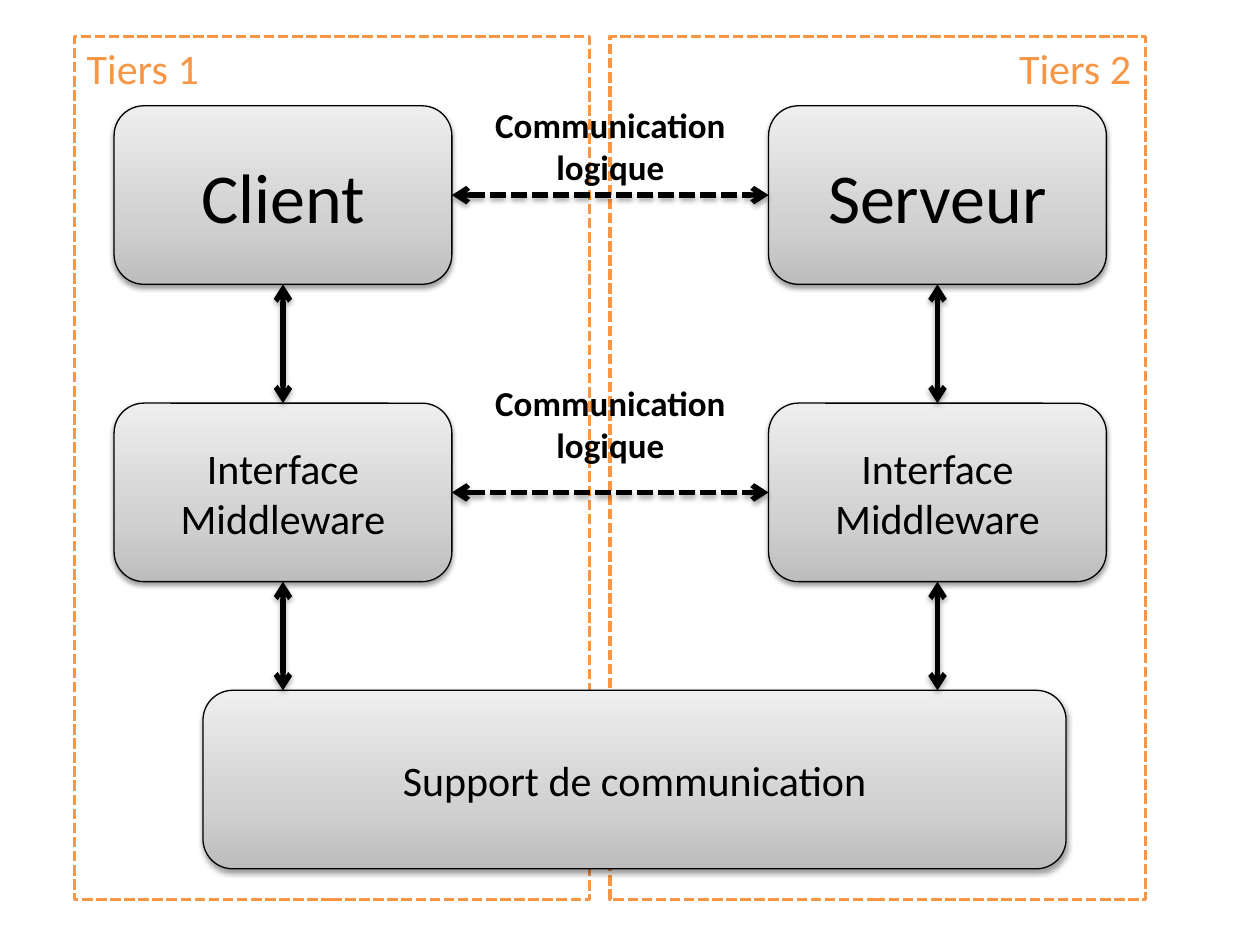
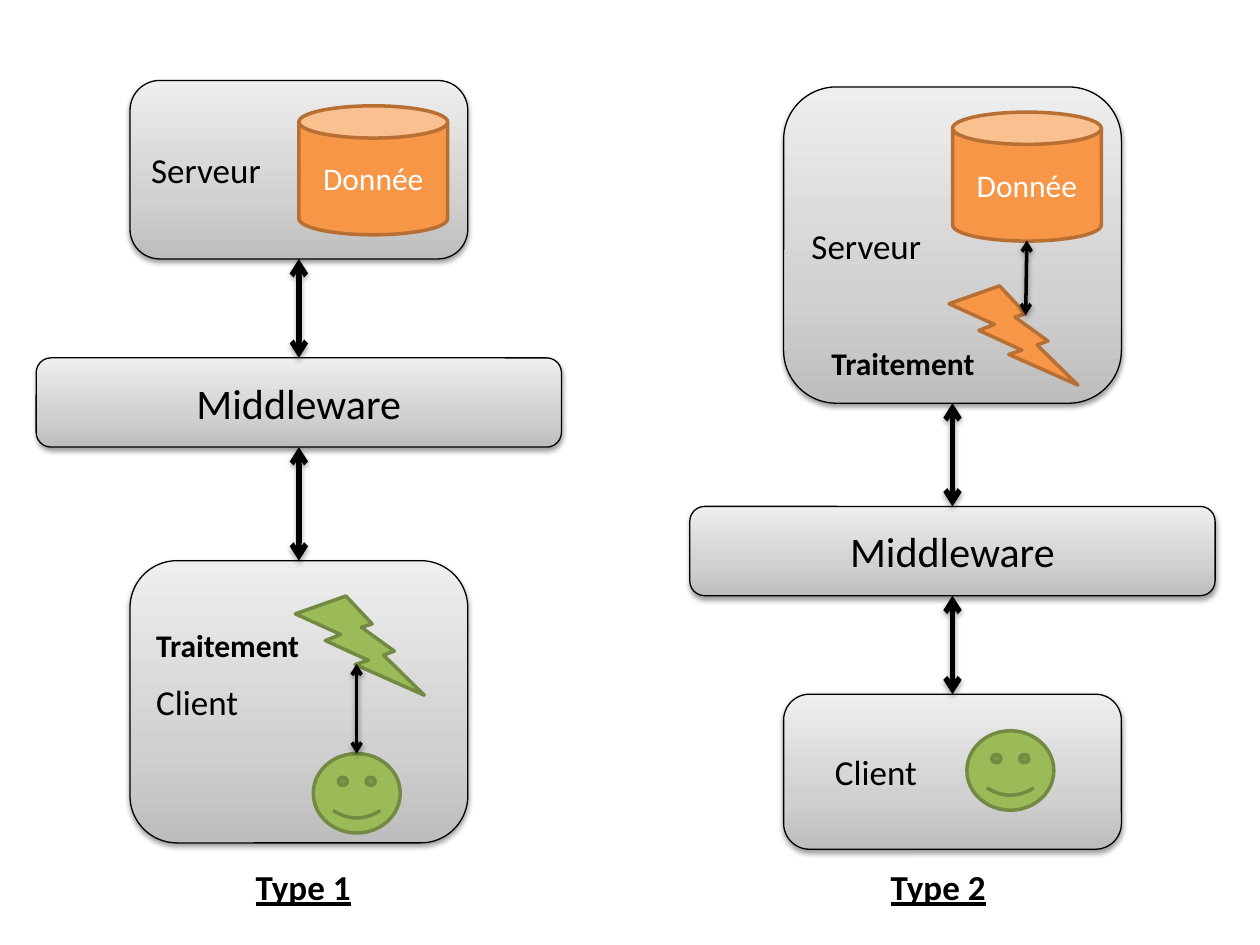
import pptx
import pptx.util
from dataclasses import dataclass
from pptx.dml.color import RGBColor
from pptx.enum.dml import MSO_LINE
from pptx.enum.shapes import MSO_CONNECTOR, MSO_SHAPE
from pptx.enum.text import MSO_ANCHOR, MSO_AUTO_SIZE, PP_ALIGN
from pptx.oxml.ns import qn
from lxml import etree

Pt = pptx.util.Pt


@dataclass(frozen=True)
class Theme:
    font: str = "Calibri"
    black: str = "000000"
    white: str = "FFFFFF"
    orange: str = "F79646"
    orange_edge: str = "B76F34"
    green: str = "9BBB59"
    green_edge: str = "738A42"
    box_stops: tuple = ((0, "BDBDBD"), (35, "D1D1D1"), (100, "EEEEEE"))
    huge: int = 40
    large: int = 24
    medium: int = 20
    small: int = 18
    thin: float = 0.75
    edge: int = 2
    thick: int = 3


T = Theme()
ORANGE = (T.orange, T.orange_edge)
GREEN = (T.green, T.green_edge)

# Slide 1: tiers and layers
TIERS = [  # label, label left, frame left, frame width
    ("Tiers 1", 42.5, 42.5, 294.5),
    ("Tiers 2", 575.3, 348.5, 306),
]
TIER_TOP, TIER_H = 20.9, 493.2
LAYERS = [  # top, text size, left text, right text, top of the label between
    (60.5, T.huge, "Client", "Serveur", 55.4),
    (230.4, T.large, "Interface Middleware", "Interface Middleware", 214.6),
]
BOX_LEFTS = (65.2, 439.2)
BOX_W, BOX_H = 193, 102
LINK_LABEL = ("Communication", "logique")
SUPPORT = ("Support de communication", 116, 394.5, 493.2, BOX_H)

# Slide 2: the two kinds of architecture, x offsets measured from the column's axis
COLUMNS = [
    dict(caption="Type 1", caption_dx=-31.8, axis=170.8,
         server=(46, BOX_H), middleware=204.5, client=(320.4, 161.3), client_margin=7.2,
         can=60.5, bolt=340.6, bolt_colours=GREEN, smiley=430.6,
         task=(-88.7, 354.2), link=((33, 379.4), (33, 430.6))),
    dict(caption="Type 2", caption_dx=-42.4, axis=544.3,
         server=(49.7, 180.7), middleware=289.4, client=(396.7, 88.6), client_margin=25,
         can=64.1, bolt=163.4, bolt_colours=ORANGE, smiley=417.6,
         task=(-76.3, 193), link=((41.8, 180), (42.5, 137.5))),
]
SERVER, MIDDLEWARE, CLIENT = "Serveur", "Middleware", "Client"
DATA, TASK = "Donnée", "Traitement"
MIDDLEWARE_W, MIDDLEWARE_H = 300.2, 51
CAPTION_TOP = 491

TOP, LEFT, BOTTOM, RIGHT = range(4)  # connection sites of a rounded rectangle


def add_shadow(sp, alpha, distance):
    """Give a shape or connector a soft shadow straight below it."""
    sp_pr = sp._element.spPr
    for old in sp_pr.findall(qn("a:effectLst")):
        sp_pr.remove(old)
    effects = etree.SubElement(sp_pr, qn("a:effectLst"))
    shadow = etree.SubElement(
        effects, qn("a:outerShdw"), blurRad=str(Pt(3.1)), dist=str(Pt(distance)),
        dir="5400000", rotWithShape="0")
    colour = etree.SubElement(shadow, qn("a:srgbClr"), val=T.black)
    etree.SubElement(colour, qn("a:alpha"), val=str(alpha * 1000))


def set_line(line, colour, width, dashed=False):
    line.color.rgb = RGBColor.from_string(colour)
    line.width = Pt(width)
    if dashed:
        line.dash_style = MSO_LINE.SQUARE_DOT


def write(sp, lines, size, colour=T.black, align=PP_ALIGN.CENTER, bold=False, underline=False):
    tf = sp.text_frame
    tf.text = "\n".join(lines)
    for p in tf.paragraphs:
        p.alignment = align
        p.font.name, p.font.size = T.font, Pt(size)
        p.font.bold, p.font.underline = bold, underline
        p.font.color.rgb = RGBColor.from_string(colour)


def add_label(s, lines, left, top, width, height, size, **style):
    sp = s.shapes.add_textbox(Pt(left), Pt(top), Pt(width), Pt(height))
    sp.text_frame.word_wrap = False
    sp.text_frame.auto_size = MSO_AUTO_SIZE.SHAPE_TO_FIT_TEXT
    write(sp, lines, size, **style)


def add_preset(s, kind, left, top, width, height):
    sp = s.shapes.add_shape(kind, Pt(left), Pt(top), Pt(width), Pt(height))
    sp.shadow.inherit = False
    sp.text_frame.vertical_anchor = MSO_ANCHOR.MIDDLE
    return sp


def add_box(s, text, left, top, width, height, size, align=PP_ALIGN.CENTER, margin=7.2):
    """Draw a grey gradient box with a shadow."""
    sp = add_preset(s, MSO_SHAPE.ROUNDED_RECTANGLE, left, top, width, height)
    sp.fill.gradient()
    sp.fill.gradient_angle = 90
    stops = sp._element.spPr.find(".//" + qn("a:gsLst"))
    for old in list(stops):
        stops.remove(old)
    for position, colour in T.box_stops:
        stop = etree.SubElement(stops, qn("a:gs"), pos=str(position * 1000))
        etree.SubElement(stop, qn("a:srgbClr"), val=colour)
    set_line(sp.line, T.black, T.thin)
    add_shadow(sp, 38, 1.6)
    sp.text_frame.margin_left = Pt(margin)
    write(sp, [text], size, align=align)
    return sp


def add_icon(s, kind, left, top, width, height, colours):
    sp = add_preset(s, kind, left, top, width, height)
    fill, edge = colours
    sp.fill.solid()
    sp.fill.fore_color.rgb = RGBColor.from_string(fill)
    set_line(sp.line, edge, T.edge)
    return sp


def add_arrow(s, start, end, width=T.thick, dashed=False, shadow=(35, 1.8)):
    """Draw a double arrow; each end is an (x, y) point or a (box, site) pair."""
    points = [(0, 0) if hasattr(e[0], "shape_id") else e for e in (start, end)]
    cx = s.shapes.add_connector(MSO_CONNECTOR.STRAIGHT, *(Pt(v) for p in points for v in p))
    for connect, e in ((cx.begin_connect, start), (cx.end_connect, end)):
        if hasattr(e[0], "shape_id"):
            connect(*e)
    set_line(cx.line, T.black, width, dashed)
    ln = cx.line._get_or_add_ln()
    for tag in ("a:headEnd", "a:tailEnd"):
        etree.SubElement(ln, qn(tag), type="arrow")
    add_shadow(cx, *shadow)


def build_tiers(s):
    for _, _, left, width in reversed(TIERS):
        frame = add_preset(s, MSO_SHAPE.RECTANGLE, left, TIER_TOP, width, TIER_H)
        frame.fill.background()
        set_line(frame.line, T.orange, T.edge, dashed=True)
    rows = [[add_box(s, text, left, top, BOX_W, BOX_H, size)
             for left, text in zip(BOX_LEFTS, texts)]
            for top, size, *texts, _ in LAYERS]
    add_box(s, *SUPPORT, T.large)
    for left_box, right_box in rows:
        add_arrow(s, (left_box, RIGHT), (right_box, LEFT), dashed=True)
    for left, upper, lower in zip(BOX_LEFTS, *rows):
        add_arrow(s, (upper, BOTTOM), (lower, TOP))
        axis = left + BOX_W / 2
        add_arrow(s, (axis, LAYERS[-1][0] + BOX_H), (axis, SUPPORT[2]))
    for label, left, _, _ in TIERS:
        add_label(s, [label], left, TIER_TOP, 79.2, 36, T.large,
                  colour=T.orange, align=PP_ALIGN.LEFT)
    for layer in LAYERS:
        add_label(s, LINK_LABEL, 275, layer[-1], 147.6, 55.4, T.medium, bold=True)


def build_column(s, col):
    axis = col["axis"]
    left = axis - BOX_W / 2
    server = add_box(s, SERVER, left, col["server"][0], BOX_W, col["server"][1],
                     T.medium, PP_ALIGN.LEFT)
    middleware = add_box(s, MIDDLEWARE, axis - MIDDLEWARE_W / 2, col["middleware"],
                         MIDDLEWARE_W, MIDDLEWARE_H, T.large)
    client = add_box(s, CLIENT, left, col["client"][0], BOX_W, col["client"][1],
                     T.medium, PP_ALIGN.LEFT, col["client_margin"])
    add_arrow(s, (server, BOTTOM), (middleware, TOP))
    add_arrow(s, (middleware, BOTTOM), (client, TOP))

    can = add_icon(s, MSO_SHAPE.CAN, axis, col["can"], 85, 73.7, ORANGE)
    write(can, [DATA], T.small, colour=T.white)
    add_icon(s, MSO_SHAPE.LIGHTNING_BOLT, axis - 2, col["bolt"], 73.7, 56.7, col["bolt_colours"])
    add_icon(s, MSO_SHAPE.SMILEY_FACE, axis + 8.2, col["smiley"], 49.7, 45.4, GREEN)
    start, end = ((axis + dx, y) for dx, y in col["link"])
    add_arrow(s, start, end, width=T.edge, shadow=(38, 1.6))

    dx, top = col["task"]
    add_label(s, [TASK], axis + dx, top, 97.2, 29, T.small, align=PP_ALIGN.LEFT, bold=True)
    add_label(s, [col["caption"]], axis + col["caption_dx"], CAPTION_TOP, 69, 31.5, T.medium,
              align=PP_ALIGN.LEFT, bold=True, underline=True)


def main():
    prs = pptx.Presentation()
    prs.slide_width, prs.slide_height = Pt(720), Pt(540)
    blank = prs.slide_layouts[6]
    build_tiers(prs.slides.add_slide(blank))
    s = prs.slides.add_slide(blank)
    for col in COLUMNS:
        build_column(s, col)
    prs.save("out.pptx")


if __name__ == "__main__":
    main()
